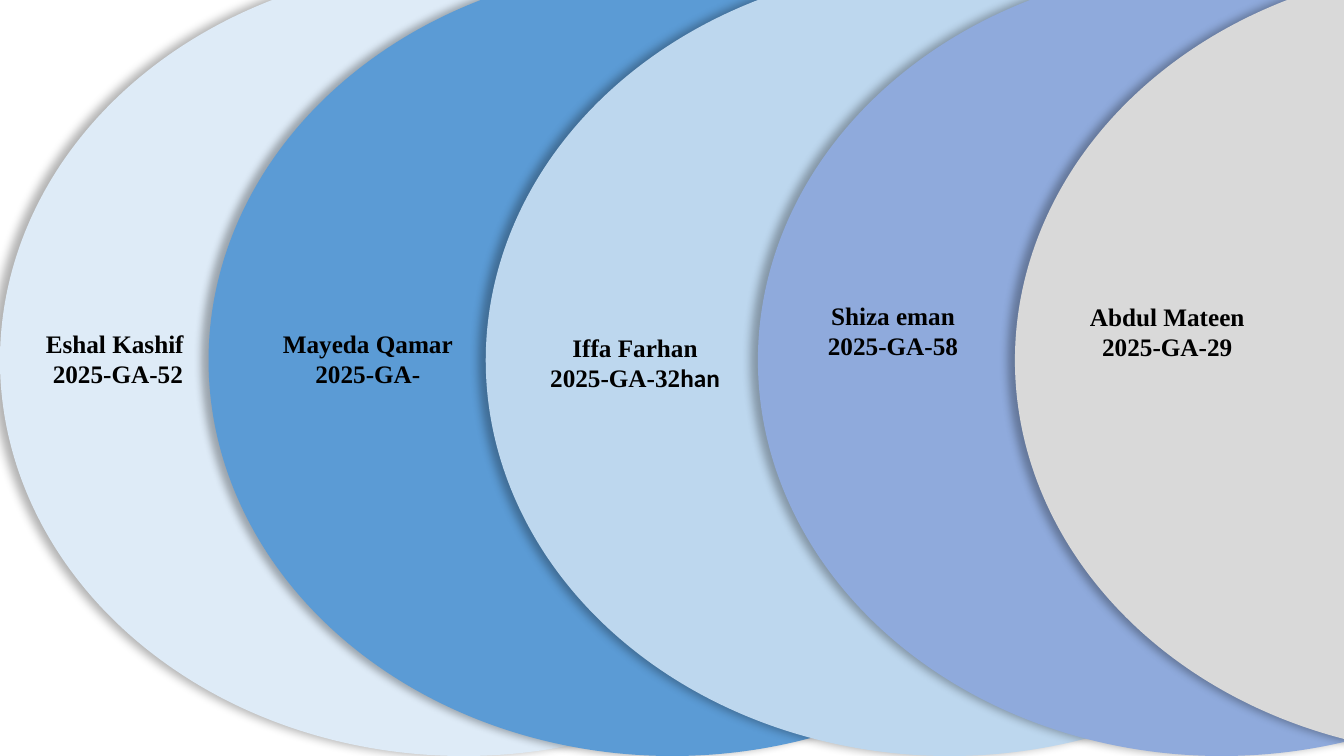
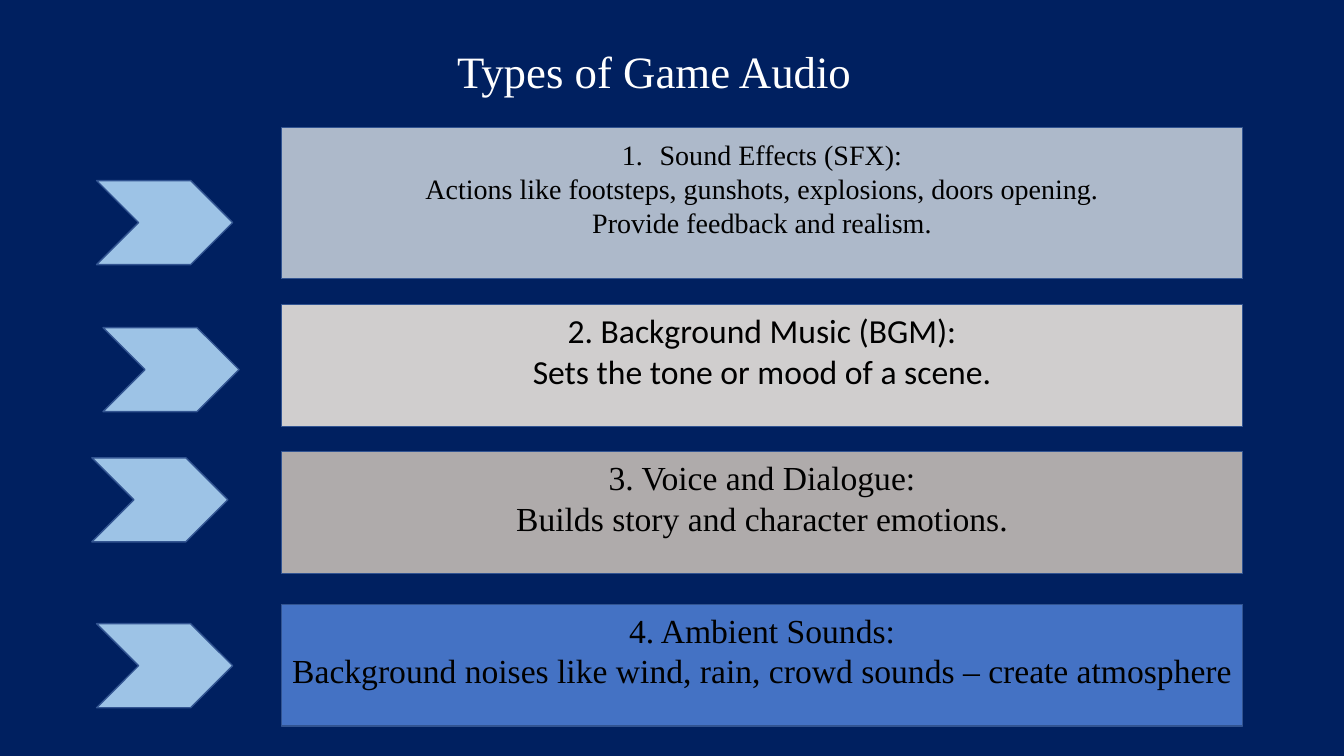
"""Build a team slide of overlapping discs and a slide on types of game audio."""
from lxml import etree
from pptx import Presentation
from pptx.dml.color import RGBColor
from pptx.enum.shapes import MSO_SHAPE
from pptx.enum.text import MSO_ANCHOR, PP_ALIGN
from pptx.oxml.ns import qn
from pptx.util import Pt

OVAL, RECT, CHEVRON = MSO_SHAPE.OVAL, MSO_SHAPE.RECTANGLE, MSO_SHAPE.CHEVRON
TOP, MIDDLE = MSO_ANCHOR.TOP, MSO_ANCHOR.MIDDLE
LEFT, CENTER = PP_ALIGN.LEFT, PP_ALIGN.CENTER
SERIF, SANS = "Times New Roman", "Calibri"

WHITE = RGBColor(0xFF, 0xFF, 0xFF)
BLACK = RGBColor(0x00, 0x00, 0x00)
NAVY = RGBColor(0x00, 0x20, 0x60)
EDGE = RGBColor(0x32, 0x54, 0x91)
ICE = RGBColor(0xDE, 0xEB, 0xF7)
AZURE = RGBColor(0x5B, 0x9B, 0xD5)
SKY = RGBColor(0xBD, 0xD7, 0xEE)
IRIS = RGBColor(0x8F, 0xAA, 0xDC)
SILVER = RGBColor(0xD9, 0xD9, 0xD9)
SLATE = RGBColor(0xAD, 0xB9, 0xCA)
PEARL = RGBColor(0xD0, 0xCE, 0xCE)
STONE = RGBColor(0xAF, 0xAB, 0xAB)
BLUE = RGBColor(0x44, 0x72, 0xC4)
ARROW = RGBColor(0x9D, 0xC3, 0xE6)

# disc left, disc colour, label middle, label top, lines of (text, font) runs
TEAM = [
    (0, ICE, 82, 231, [[("Eshal Kashif", SERIF)], [(" 2025-GA-52", SERIF)]]),
    (149, AZURE, 262.8, 231, [[("Mayeda Qamar", SERIF)], [("2025-GA-", SERIF)]]),
    (347, SKY, 453.6, 234, [[("Iffa Farhan", SERIF)],
                            [("2025-GA-32", SERIF), ("han", SANS)]]),
    (541.4, IRIS, 637.9, 211, [[("Shiza eman", SERIF)], [("2025-GA-58", SERIF)]]),
    (725, SILVER, 833.8, 211.7, [[("Abdul Mateen", SERIF)], [("2025-GA-29", SERIF)]]),
]

TITLE = "Types of Game Audio"

# band top, height, colour, font, size, chevron left, chevron top, lines
TYPES = [
    (91.2, 108, SLATE, SERIF, 20, 69, 129,
     ["Sound Effects (SFX):",
      "Actions like footsteps, gunshots, explosions, doors opening.",
      "Provide feedback and realism."]),
    (217.6, 87, PEARL, SANS, 24, 73.6, 234,
     ["2. Background Music (BGM):", "Sets the tone or mood of a scene."]),
    (322.6, 87, STONE, SERIF, 24, 65.6, 327,
     ["3. Voice and Dialogue:", "Builds story and character emotions."]),
    (431.7, 87, BLUE, SERIF, 24, 69, 445.5,
     ["4. Ambient Sounds:",
      "Background noises like wind, rain, crowd sounds – create atmosphere"]),
]


def add_page(deck, color):
    page = deck.slides.add_slide(deck.slide_layouts[6])
    page.background.fill.solid()
    page.background.fill.fore_color.rgb = color
    return page


def add_form(page, kind, box, color, edge=None):
    form = page.shapes.add_shape(kind, *map(Pt, box))
    form.shadow.inherit = False
    form.fill.solid()
    form.fill.fore_color.rgb = color
    if edge is None:
        form.line.fill.background()
    else:
        form.line.color.rgb = edge
        form.line.width = Pt(1)
    return form


def add_shade(form):
    effect = form._element.spPr.find(qn("a:effectLst"))
    shade = etree.SubElement(effect, qn("a:outerShdw"), blurRad=str(Pt(6)),
                             dist=str(Pt(5)), dir="10800000", algn="r", rotWithShape="0")
    color = etree.SubElement(shade, qn("a:prstClr"), val="black")
    etree.SubElement(color, qn("a:alpha"), val="30000")


def write(form, lines, size, color=BLACK, bold=False, align=CENTER, anchor=TOP):
    frame = form.text_frame
    frame.word_wrap = True
    frame.vertical_anchor = anchor
    for index, line in enumerate(lines):
        para = frame.paragraphs[0] if index == 0 else frame.add_paragraph()
        para.alignment = align
        for text, font in line:
            run = para.add_run()
            run.text = text
            run.font.name = font
            run.font.size = Pt(size)
            run.font.bold = bold
            run.font.color.rgb = color
    return frame


def add_number(para):
    props = para._p.get_or_add_pPr()
    props.set("marL", str(Pt(27)))
    props.set("indent", str(Pt(-27)))
    etree.SubElement(props, qn("a:buFont"), typeface=SERIF)
    etree.SubElement(props, qn("a:buAutoNum"), type="arabicPeriod")


def add_team(deck):
    page = add_page(deck, WHITE)
    for left, color, *_ in TEAM:
        add_shade(add_form(page, OVAL, (left, -25.2, 662.4, 565.2), color))
    wide = 160
    for _, _, mid, top, lines in TEAM:
        label = page.shapes.add_textbox(Pt(mid - wide / 2), Pt(top), Pt(wide), Pt(50))
        write(label, lines, 18, bold=True)


def add_types(deck):
    page = add_page(deck, NAVY)
    title = page.shapes.add_textbox(Pt(319.4), Pt(27.4), Pt(480), Pt(46))
    write(title, [[(TITLE, SERIF)]], 32, WHITE, align=LEFT, anchor=MIDDLE)
    for top, high, color, font, size, left, rise, lines in TYPES:
        band = add_form(page, RECT, (200.9, top, 686.9, high), color, EDGE)
        frame = write(band, [[(line, font)] for line in lines], size, anchor=MIDDLE)
        frame.margin_bottom = Pt(25)
        if top == TYPES[0][0]:
            add_number(frame.paragraphs[0])
        add_form(page, CHEVRON, (left, rise, 97.2, 60), ARROW, EDGE)


def main():
    deck = Presentation()
    deck.slide_width, deck.slide_height = Pt(960), Pt(540)
    add_team(deck)
    add_types(deck)
    deck.save("out.pptx")


if __name__ == "__main__":
    main()
